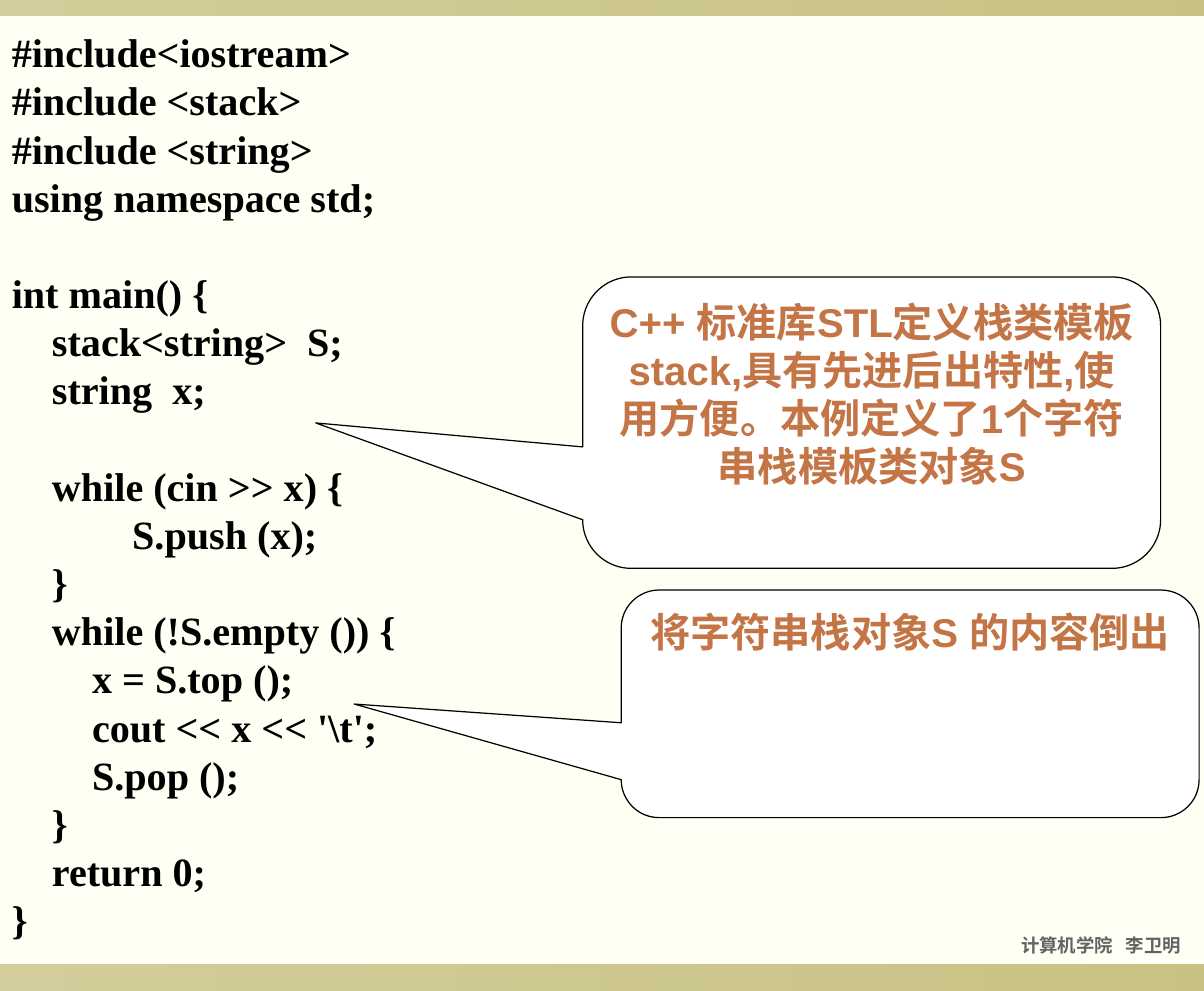
from lxml import etree
from pptx import Presentation
from pptx.dml.color import RGBColor
from pptx.enum.shapes import MSO_SHAPE
from pptx.enum.text import MSO_ANCHOR, PP_ALIGN
from pptx.oxml.ns import qn
from pptx.util import Pt

WIDTH, HEIGHT = 720, 592.56
COLORS = {"paper": "FFFFF4", "bar": "918415", "code": "000000", "footer": "636363",
          "callout": "FFFFFF", "outline": "000000", "note": "C47546"}
LINE_PITCH = 28.8
INDENT = 24
VARIABLE_TAB = 113.6

# Indent level, text, and whether a line is left free above
CODE = [
    (0, "#include<iostream>", False),
    (0, "#include <stack>", False),
    (0, "#include <string>", False),
    (0, "using namespace std;", False),
    (0, "int main() {", True),
    (1, "stack<string>  S;", False),
    (1, "string\tx;", False),
    (1, "while (cin >> x) {", True),
    (3, "S.push (x);", False),
    (1, "}", False),
    (1, "while (!S.empty ()) {", False),
    (2, "x = S.top ();", False),
    (2, "cout << x << '\\t';", False),
    (2, "S.pop ();", False),
    (1, "}", False),
    (1, "return 0;", False),
    (0, "}", False),
]
CALLOUTS = [
    ((348.5, 165.6, 345.6, 174.24),
     "C++ 标准库STL定义栈类模板stack,具有先进后出特性,使用方便。本例定义了1个字符串栈模板类对象S"),
    ((371.5, 352.8, 345.6, 136.08), "将字符串栈对象S 的内容倒出"),
]


class SlideBuilder:
    def __init__(self, slide):
        self.slide = slide
        slide.background.fill.solid()
        slide.background.fill.fore_color.rgb = self.color("paper")

    def color(self, key):
        return RGBColor.from_string(COLORS[key])

    def shape(self, kind, box):
        shape = self.slide.shapes.add_shape(kind, *map(Pt, box))
        shape.shadow.inherit = False
        return shape

    def frame(self, box):
        frame = self.slide.shapes.add_textbox(*map(Pt, box)).text_frame
        frame.word_wrap = True
        return frame

    def add_text(self, paragraph, text, font, size, color, **layout):
        for name, value in layout.items():
            setattr(paragraph, name, value)
        run = paragraph.add_run()
        run.text = text
        for name, value in {"name": font, "size": Pt(size), "bold": True}.items():
            setattr(run.font, name, value)
        run.font.color.rgb = self.color(color)

    def bar(self, top, height):
        """Full-width band whose tint grows from 40 % to 50 % opacity."""
        bar = self.shape(MSO_SHAPE.RECTANGLE, (0, top, WIDTH, height))
        bar.line.fill.background()
        bar.fill.gradient()
        bar.fill.gradient_angle = 0
        for stop in bar.fill.gradient_stops:
            stop.color.rgb = self.color("bar")
        tints = bar._element.spPr.find(qn("a:gradFill")).iter(qn("a:srgbClr"))
        for tint, opacity in zip(tints, (40, 50)):
            etree.SubElement(tint, qn("a:alpha"), val=str(opacity * 1000))

    def code(self, box, lines):
        frame = self.frame(box)
        for number, (level, text, gap) in enumerate(lines):
            paragraph = frame.add_paragraph() if number else frame.paragraphs[0]
            self.add_text(paragraph, text, "Times New Roman", 24, "code",
                          line_spacing=Pt(LINE_PITCH),
                          space_before=Pt(LINE_PITCH if gap else 0))
            properties = paragraph._p.get_or_add_pPr()
            properties.set("marL", str(Pt(level * INDENT)))
            properties.set("indent", "0")
            if "\t" in text:
                tabs = etree.SubElement(properties, qn("a:tabLst"))
                etree.SubElement(tabs, qn("a:tab"), pos=str(Pt(VARIABLE_TAB)), algn="l")

    def footer(self, box, text):
        frame = self.frame(box)
        frame.vertical_anchor = MSO_ANCHOR.MIDDLE
        self.add_text(frame.paragraphs[0], text, "Arial", 11, "footer",
                      alignment=PP_ALIGN.RIGHT)

    def callout(self, box, text):
        callout = self.shape(MSO_SHAPE.ROUNDED_RECTANGULAR_CALLOUT, box)
        for index, value in enumerate((-0.962, 0.001, 0.167)):
            callout.adjustments[index] = value
        callout.fill.solid()
        callout.fill.fore_color.rgb = self.color("callout")
        callout.line.color.rgb = self.color("outline")
        callout.line.width = Pt(0.75)
        frame = callout.text_frame
        frame.word_wrap = True
        frame.vertical_anchor = MSO_ANCHOR.TOP
        self.add_text(frame.paragraphs[0], text, "Arial", 24, "note",
                      alignment=PP_ALIGN.CENTER, line_spacing=Pt(LINE_PITCH))


def main():
    presentation = Presentation()
    presentation.slide_width, presentation.slide_height = Pt(WIDTH), Pt(HEIGHT)
    builder = SlideBuilder(presentation.slides.add_slide(presentation.slide_layouts[6]))
    builder.bar(576.72, 15.84)
    builder.bar(0, 9.36)
    builder.code((0, 12.96, WIDTH, 640.8), CODE)
    builder.footer((419.76, 552.96, 293.76, 24.48), "计算机学院   李卫明")
    for box, text in CALLOUTS:
        builder.callout(box, text)
    presentation.save("out.pptx")


if __name__ == "__main__":
    main()
